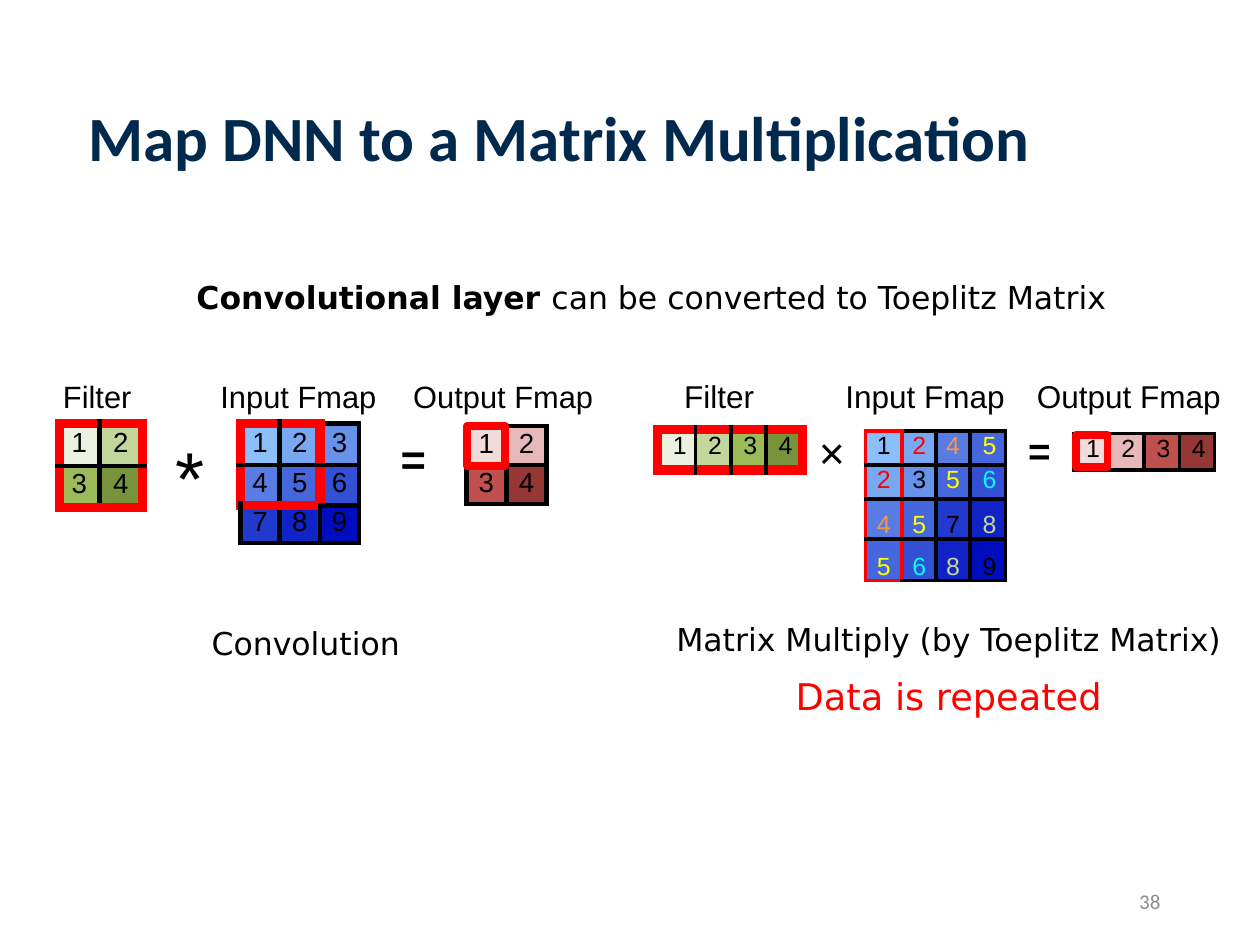
from lxml.etree import SubElement
from pptx import Presentation
from pptx.dml.color import RGBColor
from pptx.enum.shapes import MSO_SHAPE
from pptx.enum.text import MSO_ANCHOR, PP_ALIGN
from pptx.oxml.ns import qn
from pptx.util import Inches, Pt

rgb = RGBColor.from_string
RED, BLACK = "FF0000", "000000"
SANS = "DejaVu Sans"

prs = Presentation()
prs.slide_width, prs.slide_height = Inches(10), Inches(7.5)
s = prs.slides.add_slide(prs.slide_layouts[6])


def add_text(x, y, w, h, paras, top=0.01, align=PP_ALIGN.LEFT, anchor=MSO_ANCHOR.TOP):
    tf = s.shapes.add_textbox(Inches(x), Inches(y), Inches(w), Inches(h)).text_frame
    tf.word_wrap = True
    tf.vertical_anchor = anchor
    tf.margin_left, tf.margin_top = Inches(0.01), Inches(top)
    tf.margin_right = tf.margin_bottom = 0
    for i, runs in enumerate(paras):
        p = tf.add_paragraph() if i else tf.paragraphs[0]
        p.alignment = align
        if i:
            p.space_before = Pt(8.9)
        for text, size, font, color, bold in runs:
            r = p.add_run()
            r.text = text
            r.font.size, r.font.name, r.font.bold = Pt(size), font, bold
            r.font.color.rgb = rgb(color)


def add_grid(x, y, cols, rows, values, fills, colors, size, line, frame=(0, 0),
             frame_line=6, lefts=None, tops=None, spacing=None):
    tbl = s.shapes.add_table(len(rows), len(cols), Inches(x), Inches(y),
                             Inches(sum(cols)), Inches(sum(rows))).table
    tbl.first_row = tbl.horz_banding = False
    for c, w in enumerate(cols):
        tbl.columns[c].width = Inches(w)
    for r, h in enumerate(rows):
        tbl.rows[r].height = Inches(h)
        for c in range(len(cols)):
            value = values[r][c]
            left = lefts[c] if lefts else 0
            cell = tbl.cell(r, c)
            cell.margin_left = Inches(left)
            cell.margin_top = Inches(tops[r] if tops else 0.01)
            cell.margin_right = cell.margin_bottom = 0
            p = cell.text_frame.paragraphs[0]
            p.alignment = PP_ALIGN.LEFT if left else PP_ALIGN.CENTER
            if spacing and spacing[r]:
                p.line_spacing = Pt(spacing[r])
            run = p.add_run()
            run.text = str(value)
            run.font.size, run.font.name = Pt(size), "Arial"
            run.font.color.rgb = rgb(colors[r][c] if colors else BLACK)
            in_rows, in_cols = r < frame[0], c < frame[1]
            edges = {
                "a:lnL": in_rows and c in (0, frame[1]),
                "a:lnR": in_rows and c + 1 == frame[1],
                "a:lnT": in_cols and r in (0, frame[0]),
                "a:lnB": in_cols and r + 1 == frame[0],
            }
            tcPr = cell._tc.get_or_add_tcPr()
            for tag, framed in edges.items():
                ln = SubElement(tcPr, qn(tag), w=str(Pt(frame_line if framed else line)))
                fill = SubElement(ln, qn("a:solidFill"))
                SubElement(fill, qn("a:srgbClr"), val=RED if framed else BLACK)
            cell.fill.solid()
            cell.fill.fore_color.rgb = rgb(fills[value - 1])


add_text(0.69, 0.77, 9.01, 0.62,
         [[("Map DNN to a Matrix Multiplication", 36, "Calibri", "00294D", True)]],
         anchor=MSO_ANCHOR.MIDDLE)
add_text(1.55, 2.2, 7.3, 0.31, [[("Convolutional layer ", 18, SANS, BLACK, True),
                                 ("can be converted to Toeplitz Matrix", 18, SANS, BLACK, False)]])
add_text(1.67, 4.94, 1.55, 0.31, [[("Convolution", 18, SANS, BLACK, False)]])
add_text(5.32, 4.83, 4.41, 0.87,
         [[("Matrix Multiply (by Toeplitz Matrix)", 18, SANS, BLACK, False)],
          [("Data is repeated", 21, SANS, RED, False)]],
         top=0.09, align=PP_ALIGN.CENTER)

labels = [
    (0.49, 2.99, 0.6, 0.31, "Filter", 17.6, False),
    (1.74, 2.99, 1.3, 0.31, "Input Fmap", 17.6, False),
    (3.27, 2.99, 1.5, 0.31, "Output Fmap", 17.6, False),
    (5.42, 2.98, 0.6, 0.31, "Filter", 18, False),
    (6.7, 2.98, 1.32, 0.31, "Input Fmap", 18, False),
    (8.22, 2.98, 1.52, 0.31, "Output Fmap", 18, False),
    (1.38, 3.41, 0.25, 0.73, "*", 42.8, False),
    (3.17, 3.42, 0.22, 0.43, "=", 24.8, True),
    (6.49, 3.36, 0.23, 0.44, "×", 25.5, False),
    (8.15, 3.38, 0.2, 0.39, "=", 22.1, True),
]
for x, y, w, h, text, size, bold in labels:
    add_text(x, y, w, h, [[(text, size, "Arial", BLACK, bold)]])

greens = ["EBF1DE", "C3D69B", "9BBB59", "77933C"]
reds = ["F2DCDB", "E6B9B8", "C0504D", "953735"]
blues = ["8ABFF9", "78A8F1", "6792EA", "587CE3", "4566DC",
         "334FD4", "2239CD", "1123C6", "000DBF"]
square = [[1, 2], [3, 4]]
flat = [[1, 2, 3, 4]]
toeplitz = [[1, 2, 4, 5], [2, 3, 5, 6], [4, 5, 7, 8], [5, 6, 8, 9]]
repeats = {2: RED, 4: "F79646", 5: "FFFF00", 6: "00FDFF", 8: "C3D69B"}
toeplitz_colors = [[repeats.get(v, BLACK) for v in row] for row in toeplitz]

add_grid(0.47, 3.36, [0.32, 0.34], [0.34, 0.33], square, greens, None, 15.8, 3,
         frame=(2, 2), tops=[0.03, 0.02])
add_grid(1.91, 3.36, [0.31, 0.32, 0.31], [0.33, 0.32, 0.3],
         [[1, 2, 3], [4, 5, 6], [7, 8, 9]], blues, None, 15.8, 3,
         frame=(2, 2), tops=[0.03, 0.02, 0.01])
add_grid(3.7, 3.38, [0.32] * 2, [0.31] * 2, square, reds, None, 15.8, 3, tops=[0.02] * 2)
add_grid(5.22, 3.41, [0.3, 0.28, 0.28, 0.29], [0.32], flat, greens, None, 14.2, 2.25,
         frame=(1, 4), lefts=[0.12, 0.1, 0.1, 0.1], tops=[0.02])
add_grid(6.87, 3.42, [0.29, 0.27, 0.27, 0.28], [0.27, 0.27, 0.32, 0.33],
         toeplitz, blues, toeplitz_colors, 14.2, 2.25, frame=(4, 1), frame_line=2.25,
         lefts=[0, 0, 0, 0.1], tops=[0.01, 0.01, 0.01, 0.02], spacing=[None, None, 22.2, 22.2])
add_grid(8.52, 3.44, [0.28] * 4, [0.29], flat, reds, None, 14.2, 2.25, lefts=[0.1] * 4)

for x, y, w, h in [(3.71, 3.38, 0.3, 0.32), (8.54, 3.45, 0.25, 0.26)]:
    sp = s.shapes.add_shape(MSO_SHAPE.RECTANGLE, Inches(x), Inches(y), Inches(w), Inches(h))
    sp.shadow.inherit = False
    sp.fill.background()
    sp.line.color.rgb = rgb(RED)
    sp.line.width = Pt(4.5)

add_text(7.06, 6.95, 2.15, 0.4, [[("38", 12, "Calibri", "8C8C8C", False)]],
         align=PP_ALIGN.RIGHT, anchor=MSO_ANCHOR.MIDDLE)

prs.save("out.pptx")
